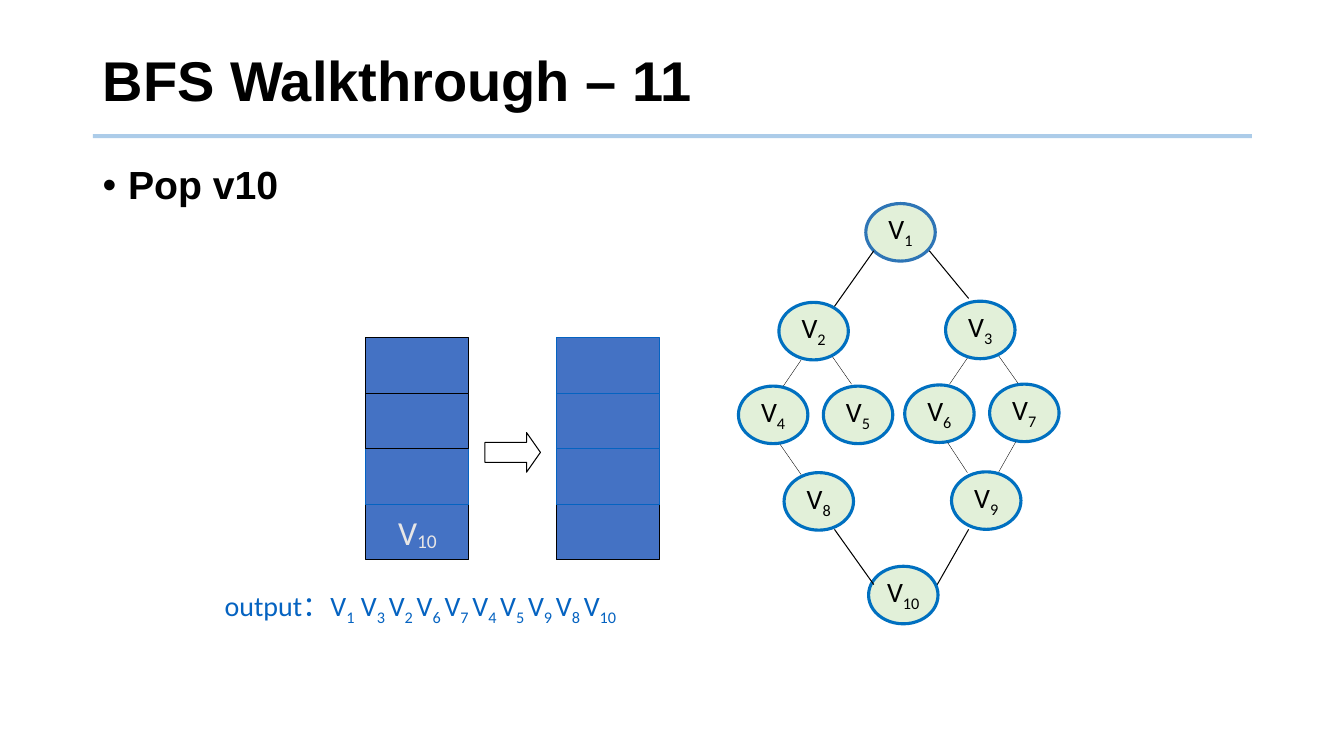
import pptx
import pptx.util
import pptx.dml.color
import pptx.enum.shapes
import pptx.enum.text
import pptx.oxml
import pptx.oxml.ns
import lxml.etree

Cm = pptx.util.Cm
Pt = pptx.util.Pt
RGBColor = pptx.dml.color.RGBColor
SHAPE = pptx.enum.shapes.MSO_SHAPE
LINE = pptx.enum.shapes.MSO_CONNECTOR.STRAIGHT
ALIGN = pptx.enum.text.PP_ALIGN
ANCHOR = pptx.enum.text.MSO_ANCHOR
FIT = pptx.enum.text.MSO_AUTO_SIZE
qn = pptx.oxml.ns.qn

BLACK = RGBColor(0x00, 0x00, 0x00)
GREEN = RGBColor(0xE2, 0xF0, 0xD9)
RING = RGBColor(0x00, 0x70, 0xC0)
ROOT = RGBColor(0x2E, 0x75, 0xB6)
CELL = RGBColor(0x44, 0x72, 0xC4)
BLUE = RGBColor(0x05, 0x63, 0xC1)
PALE = RGBColor(0xE7, 0xE6, 0xE6)
RULE = RGBColor(0x5B, 0x9B, 0xD5)


def add_run(par, text, size, color, face="Calibri", bold=False, drop=0):
    run = par.add_run()
    run.text = text
    run.font.size = Pt(size)
    run.font.name = face
    run.font.bold = bold
    run.font.color.rgb = color
    if drop:
        run.font._element.set("baseline", str(-drop * 1000))


def add_line(x1, y1, x2, y2, color, width):
    line = slide.shapes.add_connector(LINE, Cm(x1), Cm(y1), Cm(x2), Cm(y2))
    line.line.color.rgb = color
    line.line.width = Pt(width)
    lxml.etree.SubElement(line._element.spPr, qn("a:effectLst"))
    return line


deck = pptx.Presentation()
deck.slide_width = Cm(33.87)
deck.slide_height = Cm(19.05)
slide = deck.slides.add_slide(deck.slide_layouts[5])

# Title and rule
rule = add_line(2.34, 3.43, 31.55, 3.43, RULE, 3)
tint = rule._element.spPr.find(".//" + qn("a:srgbClr"))
lxml.etree.SubElement(tint, qn("a:alpha"), val="50000")

title = slide.shapes.title
title.left, title.top = Cm(2.34), Cm(0.71)
title.width, title.height = Cm(29.21), Cm(2.79)
frame = title.text_frame
frame.auto_size = FIT.NONE
frame.vertical_anchor = ANCHOR.MIDDLE
par = frame.paragraphs[0]
par.alignment = ALIGN.LEFT
par.line_spacing = 0.9
add_run(par, "BFS Walkthrough – 11", 40, BLACK, "Arial", True)

# Graph nodes: number, left, top
nodes = [
    (1, 21.82, 5.13), (2, 19.63, 7.62), (3, 23.83, 7.59),
    (4, 18.61, 9.73), (5, 20.75, 9.73), (6, 22.8, 9.7), (7, 24.94, 9.68),
    (8, 19.76, 11.91), (9, 23.98, 11.89), (10, 21.89, 14.27),
]
for num, x, y in nodes:
    node = slide.shapes.add_shape(SHAPE.OVAL, Cm(x), Cm(y), Cm(1.75), Cm(1.45))
    node.shadow.inherit = False
    node.fill.solid()
    node.fill.fore_color.rgb = GREEN
    node.line.color.rgb = ROOT if num == 1 else RING
    node.line.width = Pt(2.25)
    frame = node.text_frame
    frame.margin_left = frame.margin_right = 0
    frame.margin_top = frame.margin_bottom = 0
    frame.vertical_anchor = ANCHOR.TOP
    par = frame.paragraphs[0]
    par.alignment = ALIGN.CENTER
    par.line_spacing = 0.96
    add_run(par, "V", 20, BLACK)
    add_run(par, str(num), 20, BLACK, drop=25)

# Graph edges, by line width
edges = {
    0.25: [
        (20.19, 9.07, 19.74, 9.73), (20.98, 8.99, 21.46, 9.68),
        (19.66, 11.2, 20.19, 11.96), (24.38, 9.02, 23.93, 9.68),
        (25.17, 8.97, 25.65, 9.65), (23.88, 11.15, 24.38, 11.91),
        (25.6, 11.13, 25.17, 11.89),
    ],
    0.75: [
        (22.02, 6.32, 21.03, 7.72), (21.03, 13.34, 22.02, 14.73),
        (23.42, 6.32, 24.41, 7.52), (24.41, 13.34, 23.62, 14.73),
    ],
}
for width, ends in edges.items():
    for end in ends:
        add_line(*end, BLACK, width)

# Output order
box = slide.shapes.add_textbox(Cm(5.41), Cm(14.71), Cm(12.5), Cm(1.12))
box.text_frame.word_wrap = True
par = box.text_frame.paragraphs[0]
add_run(par, "output：V", 20, BLUE)
add_run(par, "1", 20, BLUE, drop=25)
add_run(par, " ", 20, BLUE)
for num in ("3 ", "2 ", "6 ", "7 ", "4 ", "5 ", "9 ", "8 ", "10"):
    add_run(par, "V", 20, BLUE)
    add_run(par, num, 20, BLUE, drop=25)

# Queue before and after: left, outlines from top to bottom, last entry
queues = [
    (9.22, (BLACK, BLACK, BLUE, BLACK), "10"),
    (14.02, (BLUE, BLUE, BLUE, BLACK), ""),
]
for x, tones, last in queues:
    for row in (3, 2, 0, 1):
        cell = slide.shapes.add_shape(
            SHAPE.RECTANGLE, Cm(x), Cm(8.51 + 1.4 * row), Cm(2.6), Cm(1.4))
        cell.shadow.inherit = False
        cell.fill.solid()
        cell.fill.fore_color.rgb = CELL
        cell.line.color.rgb = tones[row]
        cell.line.width = Pt(0.75)
        if row == 3 and last:
            cell.text_frame.word_wrap = False
            cell.text_frame.vertical_anchor = ANCHOR.MIDDLE
            par = cell.text_frame.paragraphs[0]
            par.alignment = ALIGN.CENTER
            add_run(par, "V", 24, PALE)
            add_run(par, last, 24, PALE, drop=10)

arrow = slide.shapes.add_shape(
    SHAPE.RIGHT_ARROW, Cm(12.22), Cm(10.9), Cm(1.4), Cm(1)) 
arrow.adjustments[1] = 0.35
arrow.shadow.inherit = False
arrow.fill.background()
arrow.line.color.rgb = BLACK
arrow.line.width = Pt(0.75)

# Bullet
body = slide.shapes.add_textbox(Cm(2.34), Cm(4.06), Cm(29.21), Cm(3.38))
body.text_frame.word_wrap = True
par = body.text_frame.paragraphs[0]
par.line_spacing = 0.9
par.space_before = Pt(10)
add_run(par, "Pop v10", 28, BLACK, "Arial", True)
props = par._element.get_or_add_pPr()
props.set("marL", str(Cm(0.64)))
props.set("indent", str(Cm(-0.64)))
lxml.etree.SubElement(props, qn("a:buFont"), typeface="Arial")
lxml.etree.SubElement(props, qn("a:buChar"), char="•")

deck.save("out.pptx")
